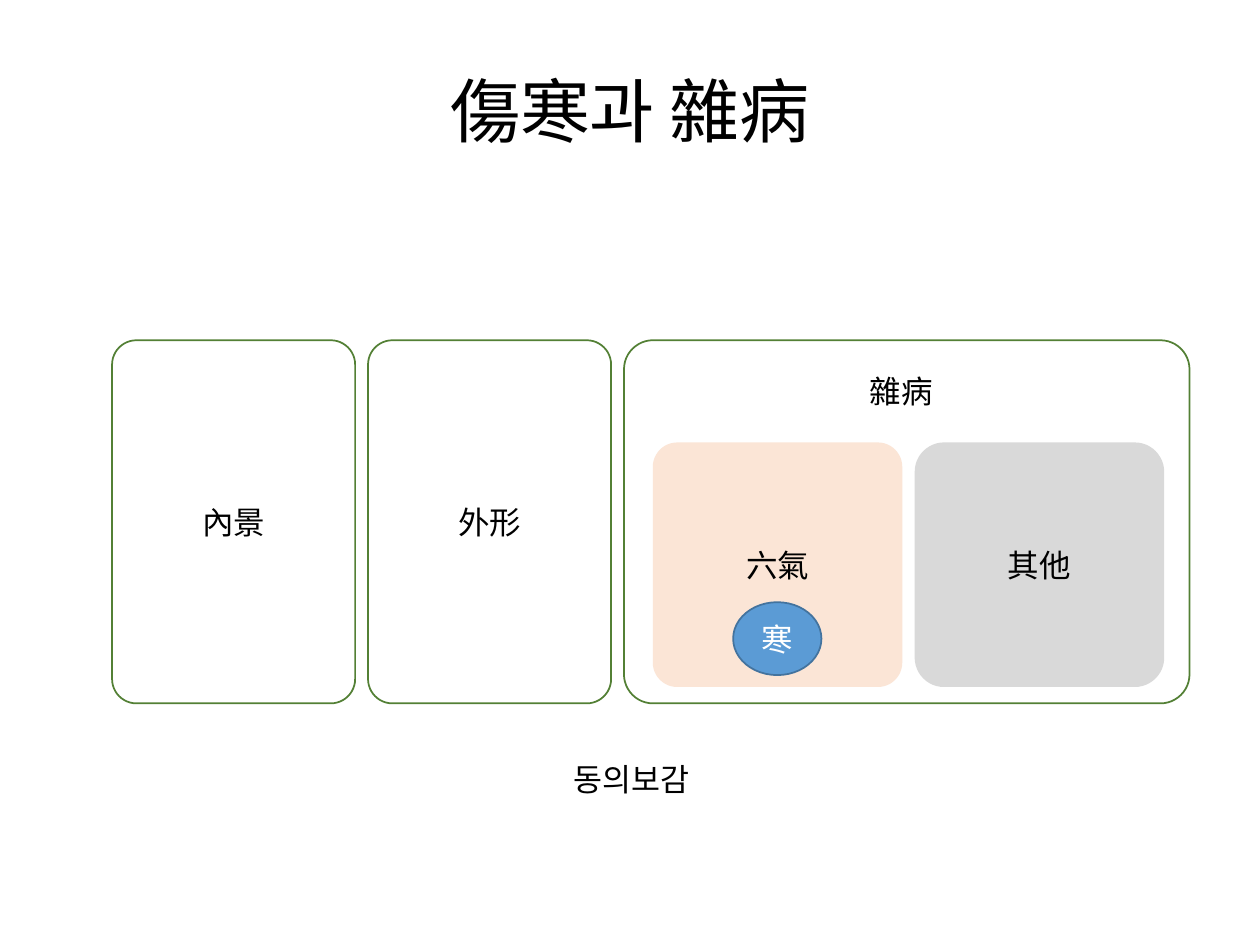
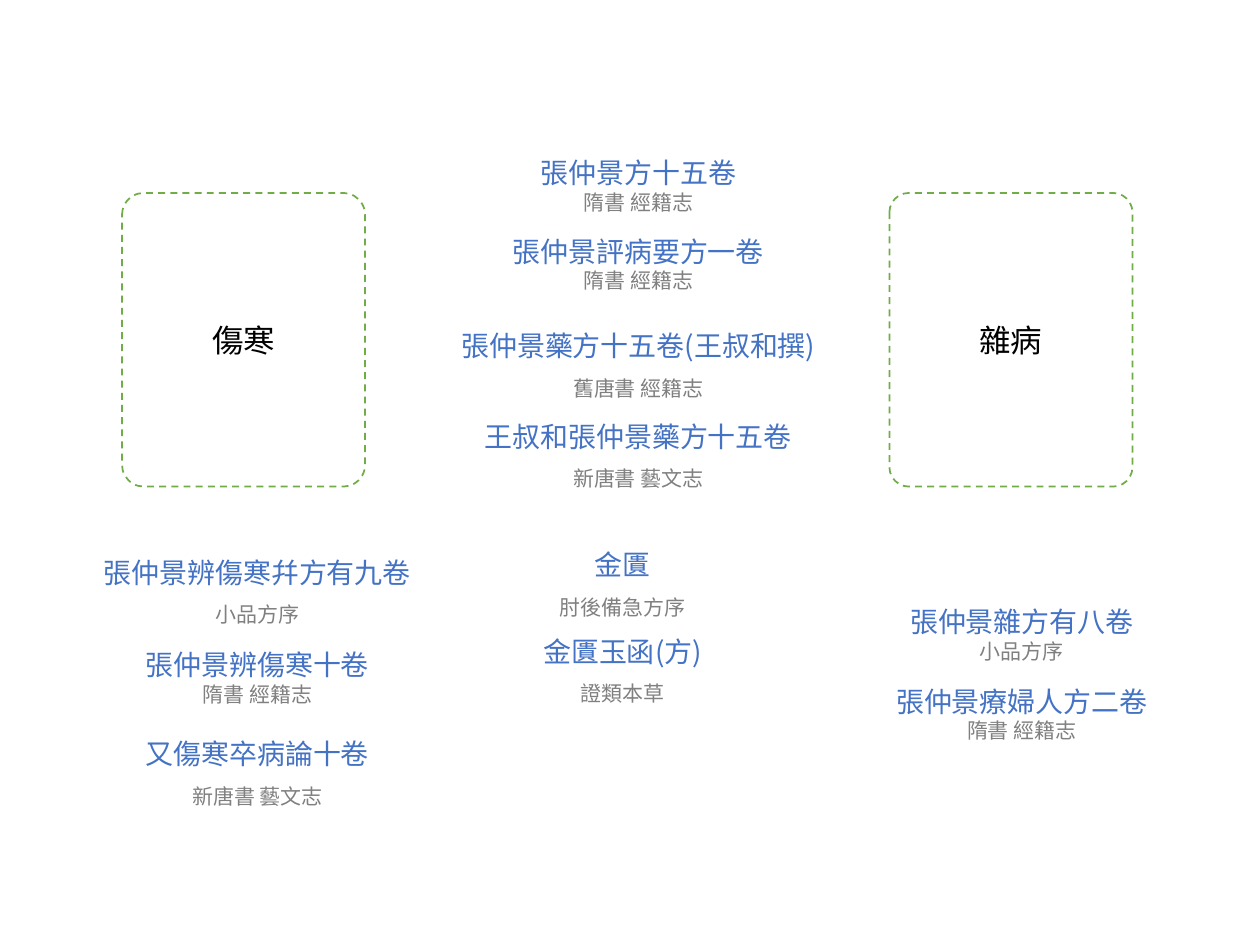
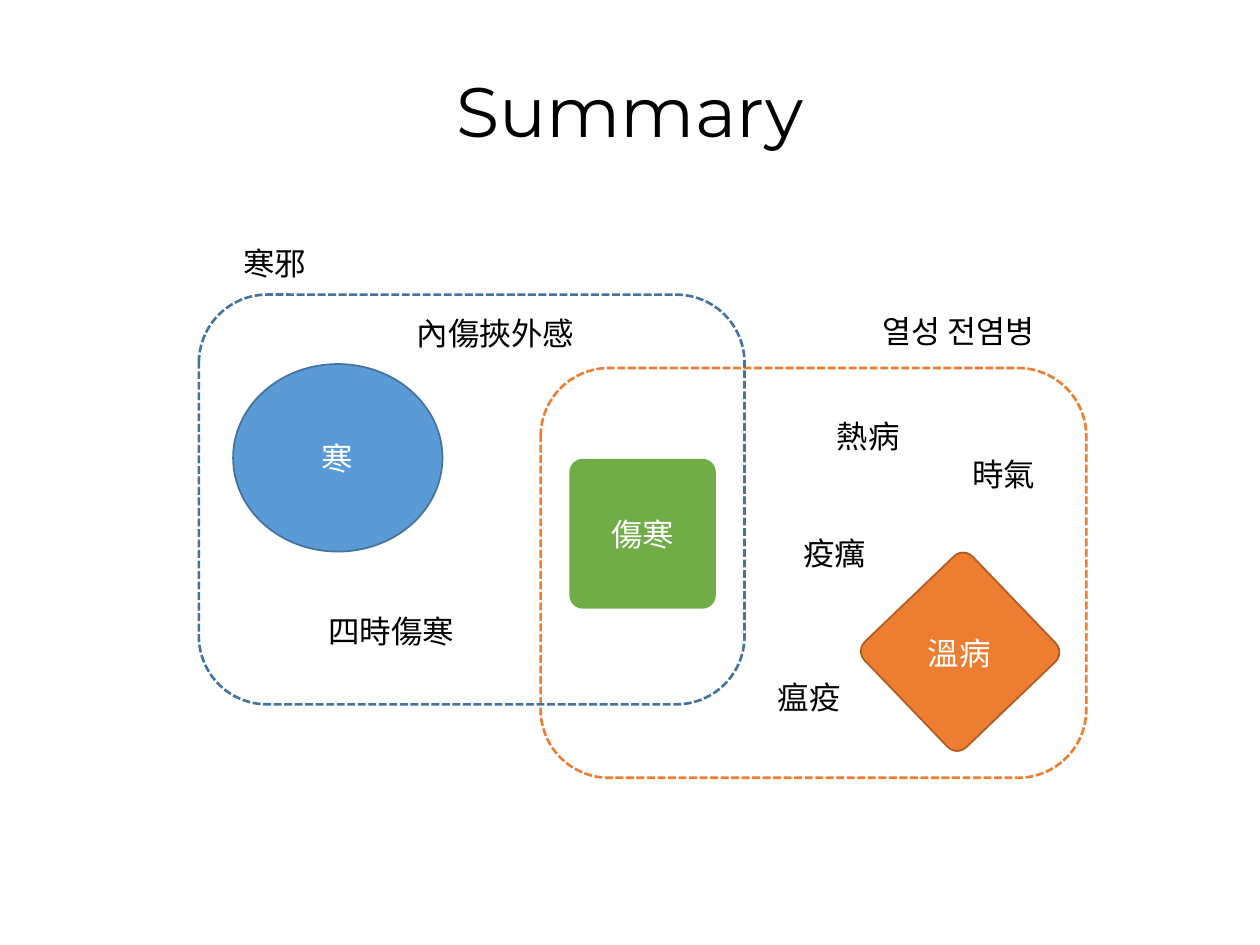
from dataclasses import dataclass
from typing import Optional

from lxml.etree import SubElement
from pptx import Presentation
from pptx.dml.color import RGBColor
from pptx.enum.dml import MSO_LINE
from pptx.enum.shapes import MSO_SHAPE
from pptx.enum.text import MSO_ANCHOR, MSO_AUTO_SIZE, PP_ALIGN
from pptx.oxml.ns import qn
from pptx.shapes.shapetree import _BaseGroupShapes
from pptx.slide import Slide
from pptx.util import Cm, Pt


@dataclass(frozen=True)
class Theme:
    black: str = "000000"
    white: str = "FFFFFF"
    blue: str = "5B9BD5"
    dark_blue: str = "43739E"
    book_blue: str = "4472C4"
    green: str = "70AD47"
    dark_green: str = "538035"
    orange: str = "ED7D31"
    dark_orange: str = "AF5C24"
    peach: str = "FBE5D6"
    light_gray: str = "D9D9D9"
    gray: str = "808080"
    body_font: str = "Calibri"
    cjk_font: str = "Noto Sans CJK KR"
    latin_title_font: str = "Montserrat"
    title_size: int = 40
    body_size: int = 18
    book_size: int = 16
    source_size: int = 12


THEME = Theme()


@dataclass(frozen=True)
class Box:
    """Position and size in centimetres."""
    left: float
    top: float
    width: float
    height: float


@dataclass(frozen=True)
class Line:
    text: str
    size: int = THEME.body_size
    color: str = THEME.black
    font: str = THEME.body_font
    spacing: Optional[float] = None


@dataclass(frozen=True)
class Outline:
    color: str
    width: float = 1
    dash: Optional[MSO_LINE] = None


@dataclass(frozen=True)
class Node:
    box: Box
    text: str = ""
    fill: Optional[str] = None
    outline: Optional[Outline] = None
    text_color: str = THEME.black
    kind: MSO_SHAPE = MSO_SHAPE.ROUNDED_RECTANGLE
    corner: Optional[float] = None
    rotation: float = 0


@dataclass(frozen=True)
class Label:
    text: str
    left: float
    top: float
    width: float
    color: str = THEME.black


@dataclass(frozen=True)
class Book:
    """A book title over the catalogue that lists it."""
    title: str
    source: str
    top: float
    width: float
    title_spacing: Optional[float] = None
    source_spacing: Optional[float] = None


@dataclass(frozen=True)
class Column:
    center: float
    books: tuple[Book, ...]


def write(frame, lines: list[Line]) -> None:
    for index, line in enumerate(lines):
        paragraph = frame.paragraphs[0] if index == 0 else frame.add_paragraph()
        paragraph.alignment = PP_ALIGN.CENTER
        if line.spacing:
            paragraph.line_spacing = line.spacing
        run = paragraph.add_run()
        run.text = line.text
        for name, value in {"name": line.font, "size": Pt(line.size)}.items():
            setattr(run.font, name, value)
        run.font.color.rgb = RGBColor.from_string(line.color)
        SubElement(run.font._element, qn("a:ea"), typeface=THEME.cjk_font)


def cm_lengths(box: Box) -> tuple[Cm, Cm, Cm, Cm]:
    return Cm(box.left), Cm(box.top), Cm(box.width), Cm(box.height)


def add_text(shapes: _BaseGroupShapes, box: Box, lines: list[Line], wrap: bool = True) -> None:
    frame = shapes.add_textbox(*cm_lengths(box)).text_frame
    frame.word_wrap = wrap
    write(frame, lines)
    frame.auto_size = MSO_AUTO_SIZE.SHAPE_TO_FIT_TEXT


def add_title(slide: Slide, text: str, font: str) -> None:
    add_text(slide.shapes, Box(0, 1.24, 25.4, 1.96), [Line(text, THEME.title_size, font=font)])


def add_label(shapes: _BaseGroupShapes, label: Label) -> None:
    box = Box(label.left, label.top, label.width, 1.02)
    add_text(shapes, box, [Line(label.text, color=label.color)], wrap=False)


def add_node(shapes: _BaseGroupShapes, node: Node) -> None:
    shape = shapes.add_shape(node.kind, *cm_lengths(node.box))
    shape.shadow.inherit = False
    shape.rotation = node.rotation
    if node.corner is not None:
        shape.adjustments[0] = node.corner
    if node.fill:
        shape.fill.solid()
        shape.fill.fore_color.rgb = RGBColor.from_string(node.fill)
    else:
        shape.fill.background()
    if node.outline:
        shape.line.color.rgb = RGBColor.from_string(node.outline.color)
        for name, value in {"width": Pt(node.outline.width), "dash_style": node.outline.dash}.items():
            setattr(shape.line, name, value)
    else:
        shape.line.fill.background()
    if node.text:
        shape.text_frame.vertical_anchor = MSO_ANCHOR.MIDDLE
        write(shape.text_frame, [Line(node.text, color=node.text_color)])


def add_column(slide: Slide, column: Column) -> None:
    for book in column.books:
        box = Box(column.center - book.width / 2, book.top, book.width, 1.7 if book.source_spacing else 1.45)
        add_text(slide.shapes, box, [
            Line(book.title, THEME.book_size, THEME.book_blue, THEME.cjk_font, book.title_spacing),
            Line(book.source, THEME.source_size, THEME.gray, THEME.cjk_font, book.source_spacing),
        ])


def build_parts_slide(slide: Slide) -> None:
    add_title(slide, "傷寒과 雜病", THEME.cjk_font)
    part_left, part_pitch = 2.26, 5.16
    parts = [("內景", 4.9, 0.1), ("外形", 4.9, 0.1), ("", 11.4, 0.08)]
    for index, (text, width, corner) in enumerate(parts):
        box = Box(part_left + index * part_pitch, 6.86, width, 7.32)
        add_node(slide.shapes, Node(box, text, outline=Outline(THEME.dark_green), corner=corner))
    add_label(slide.shapes, Label("雜病", 17.27, 7.37, 1.8))
    causes = [("六氣", THEME.peach, 0.1), ("其他", THEME.light_gray, 0.12)]
    for index, (text, fill, corner) in enumerate(causes):
        box = Box(13.16 + index * 5.28, 8.92, 5.03, 4.93)
        add_node(slide.shapes, Node(box, text, fill, corner=corner))
    add_node(slide.shapes, Node(Box(14.78, 12.14, 1.78, 1.47), "寒", THEME.blue,
                                Outline(THEME.dark_blue), THEME.white, MSO_SHAPE.OVAL))
    add_label(slide.shapes, Label("동의보감", 8.18, 15.19, 9.09))


def build_books_slide(slide: Slide) -> None:
    for text, left, corner in [("傷寒", 2.46, 0.09), ("雜病", 17.93, 0.08)]:
        add_node(slide.shapes, Node(Box(left, 3.89, 4.9, 5.92), text, THEME.white,
                                    Outline(THEME.green, dash=MSO_LINE.DASH), corner=corner))
    columns = [
        Column(5.19, (
            Book("張仲景辨傷寒幷方有九卷", "小品方序", 11.07, 7.44, source_spacing=1.5),
            Book("張仲景辨傷寒十卷", "隋書 經籍志", 12.93, 6.17),
            Book("又傷寒卒病論十卷", "新唐書 藝文志", 14.73, 5.08, source_spacing=1.5),
        )),
        Column(12.87, (
            Book("張仲景方十五卷", "隋書 經籍志", 3.02, 5.74),
            Book("張仲景評病要方一卷", "隋書 經籍志", 4.6, 6.12),
            Book("張仲景藥方十五卷(王叔和撰)", "舊唐書 經籍志", 6.17, 8.08, 1.5, 1.5),
            Book("王叔和張仲景藥方十五卷", "新唐書 藝文志", 8.33, 7.85, source_spacing=1.5),
        )),
        Column(12.55, (
            Book("金匱", "肘後備急方序", 10.92, 3.07, source_spacing=1.5),
            Book("金匱玉函(方)", "證類本草", 12.67, 3.89, source_spacing=1.5),
        )),
        Column(20.6, (
            Book("張仲景雜方有八卷", "小品方序", 12.07, 6.3),
            Book("張仲景療婦人方二卷", "隋書 經籍志", 13.67, 6.98),
        )),
    ]
    for column in columns:
        add_column(slide, column)


def build_summary_slide(slide: Slide) -> None:
    add_title(slide, "Summary", THEME.latin_title_font)
    add_node(slide.shapes, Node(Box(11.48, 9.25, 2.95, 3.02), "傷寒", THEME.green,
                                text_color=THEME.white, corner=0.09))
    add_node(slide.shapes, Node(Box(4.7, 7.34, 4.22, 3.78), "寒", THEME.blue,
                                Outline(THEME.dark_blue), THEME.white, MSO_SHAPE.OVAL))
    warm_disease = slide.shapes.add_group_shape().shapes
    add_node(warm_disease, Node(Box(17.88, 11.63, 2.95, 3.02), fill=THEME.orange,
                                outline=Outline(THEME.dark_orange), corner=0.09, rotation=46.2))
    add_label(warm_disease, Label("溫病", 18.44, 12.65, 1.8, THEME.white))
    for left, top, color in [(10.9, 7.42, THEME.orange), (4.01, 5.94, THEME.dark_blue)]:
        add_node(slide.shapes, Node(Box(left, top, 11, 8.26),
                                    outline=Outline(color, 1.5, MSO_LINE.SQUARE_DOT)))
    labels = [
        Label("寒邪", 2.92, 4.8, 5.23),
        Label("열성 전염병", 16.71, 6.17, 5.23),
        Label("熱病", 16.18, 8.28, 2.64),
        Label("時氣", 18.92, 9.04, 2.64),
        Label("瘟疫", 14.99, 13.54, 2.64),
        Label("疫癘", 15.93, 10.64, 1.8),
        Label("四時傷寒", 6.35, 12.22, 3.07),
        Label("內傷挾外感", 8.13, 6.2, 3.71),
    ]
    for label in labels:
        add_label(slide.shapes, label)


def main() -> None:
    deck = Presentation()
    deck.slide_width, deck.slide_height = Cm(25.4), Cm(19.05)
    blank_layout = deck.slide_layouts[6]
    for build in (build_parts_slide, build_books_slide, build_summary_slide):
        build(deck.slides.add_slide(blank_layout))
    deck.save("out.pptx")


if __name__ == "__main__":
    main()
